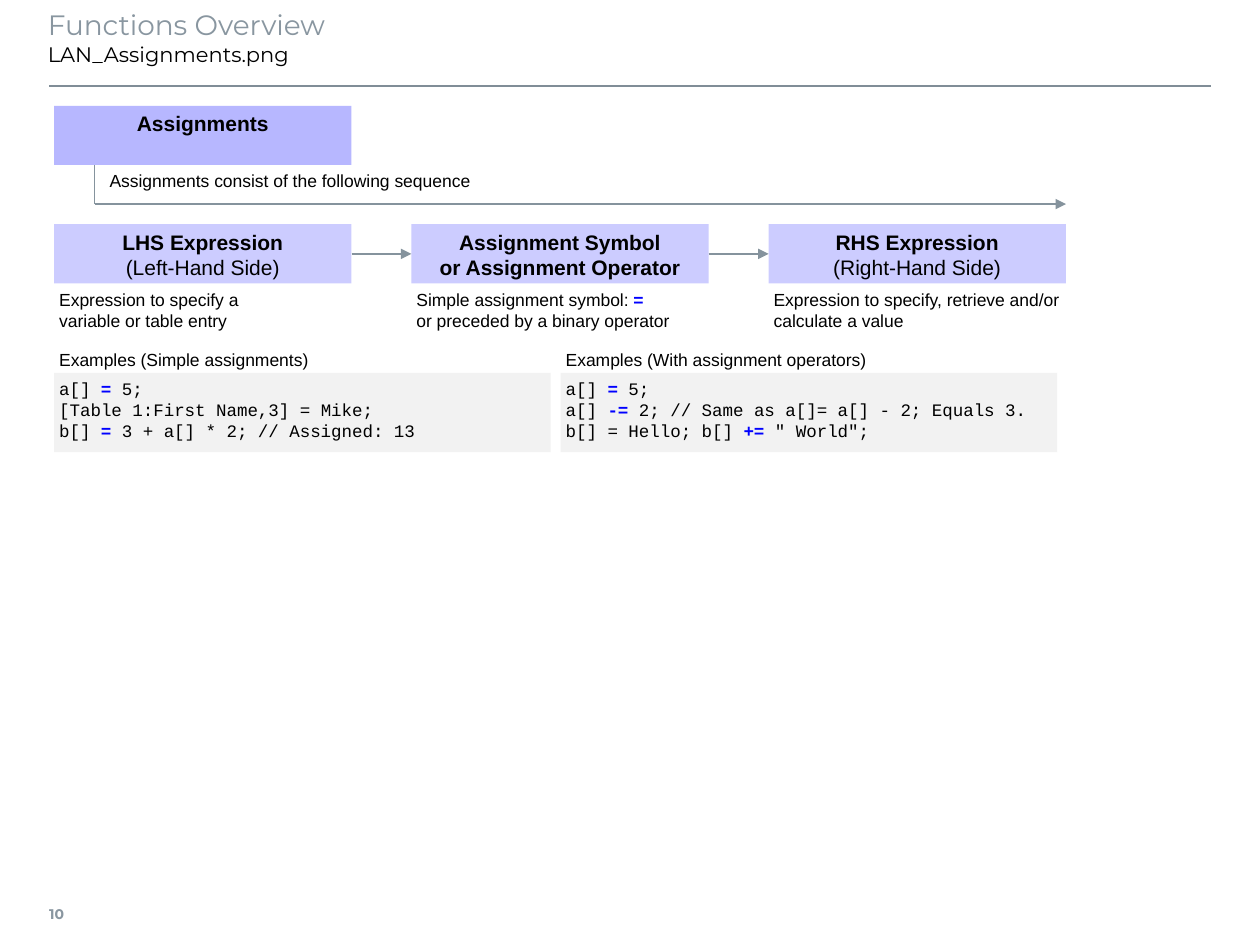
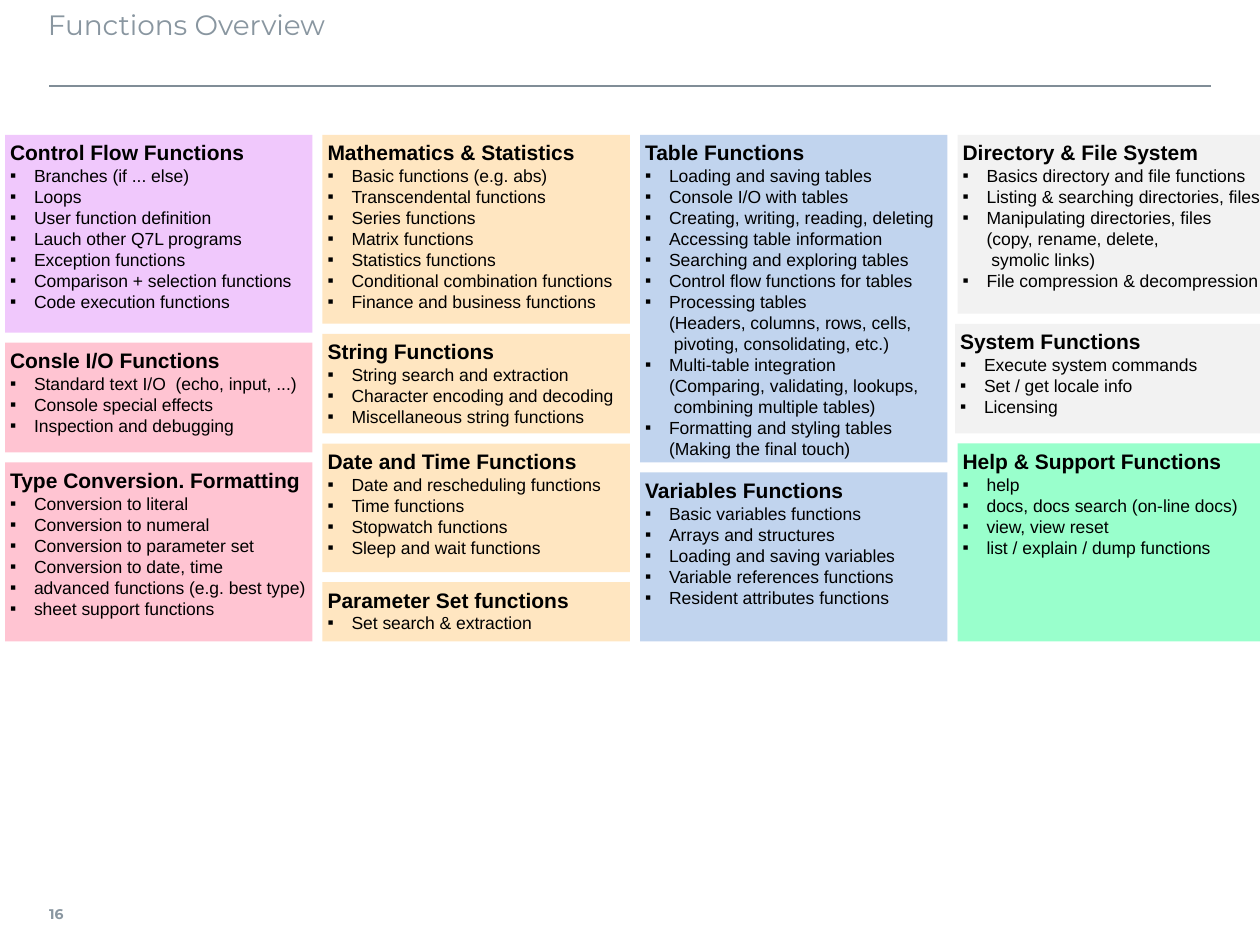
from dataclasses import dataclass

from pptx import Presentation
from pptx.dml.color import RGBColor
from pptx.enum.shapes import MSO_CONNECTOR, MSO_SHAPE
from pptx.enum.text import MSO_ANCHOR, MSO_AUTO_SIZE, PP_ALIGN
from pptx.oxml.ns import qn
from pptx.util import Inches, Pt
from lxml.etree import SubElement

# Shared colours and fonts
BLACK = RGBColor(0x00, 0x00, 0x00)
TITLE_GREY = RGBColor(0x89, 0x96, 0xA0)
RULE_GREY = RGBColor(0x80, 0x8D, 0x97)
ARROW_GREY = RGBColor(0x85, 0x93, 0x9D)
OPERATOR_BLUE = RGBColor(0x00, 0x00, 0xFF)
VIOLET = RGBColor(0xB7, 0xB7, 0xFF)
LAVENDER = RGBColor(0xCC, 0xCC, 0xFF)
PALE_GREY = RGBColor(0xF2, 0xF2, 0xF2)
LILAC = RGBColor(0xF0, 0xC8, 0xFC)
PINK = RGBColor(0xFF, 0xC4, 0xD2)
ORANGE = RGBColor(0xFF, 0xE6, 0xC1)
BLUE = RGBColor(0xC1, 0xD4, 0xEE)
GREEN = RGBColor(0x99, 0xFF, 0xCC)
BODY_FONT = "Arial"
CODE_FONT = "Courier New"
TITLE_FONT = "Montserrat"

INSET = 0.04
STEP_WIDTH, STEP_HEIGHT, STEP_PITCH = 2.36, 0.47, 2.835
CAPTION_WIDTH, CAPTION_HEIGHT = 3.2, 0.24
PANEL_WIDTH, PANEL_GAP = 2.44, 0.08


@dataclass
class Panel:
    heading: str
    height: float
    fill: RGBColor
    items: list
    shift: float = 0


# Panels of the overview, column by column
PANEL_COLUMNS = [
    [
        Panel("Control Flow Functions", 1.57, LILAC, [
            "Branches (if ... else)", "Loops", "User function definition",
            "Lauch other Q7L programs", "Exception functions",
            "Comparison + selection functions", "Code execution functions"]),
        Panel("Consle I/O Functions", 0.87, PINK, [
            "Standard text I/O  (echo, input, ...)",
            "Console special effects", "Inspection and debugging"]),
        Panel("Type Conversion. Formatting", 1.42, PINK, [
            "Conversion to literal", "Conversion to numeral",
            "Conversion to parameter set", "Conversion to date, time",
            "advanced functions (e.g. best type)", "sheet support functions"]),
    ],
    [
        Panel("Mathematics & Statistics", 1.5, ORANGE, [
            "Basic functions (e.g. abs)", "Transcendental functions",
            "Series functions", "Matrix functions", "Statistics functions",
            "Conditional combination functions",
            "Finance and business functions"]),
        Panel("String Functions", 0.79, ORANGE, [
            "String search and extraction", "Character encoding and decoding",
            "Miscellaneous string functions"]),
        Panel("Date and Time Functions", 1.02, ORANGE, [
            "Date and rescheduling functions", "Time functions",
            "Stopwatch functions", "Sleep and wait functions"]),
        Panel("Parameter Set functions", 0.47, ORANGE,
              ["Set search & extraction"]),
    ],
    [
        Panel("Table Functions", 2.6, BLUE, [
            "Loading and saving tables", "Console I/O with tables",
            "Creating, writing, reading, deleting",
            "Accessing table information", "Searching and exploring tables",
            "Control flow functions for tables",
            "Processing tables\v(Headers, columns, rows, cells,"
            "\v pivoting, consolidating, etc.)",
            "Multi-table integration\v(Comparing, validating, lookups,"
            "\v combining multiple tables)",
            "Formatting and styling tables\v(Making the final touch)"]),
        Panel("Variables Functions", 1.34, BLUE, [
            "Basic variables functions", "Arrays and structures",
            "Loading and saving variables", "Variable references functions",
            "Resident attributes functions"]),
    ],
    [
        Panel("Directory & File System", 1.42, PALE_GREY, [
            "Basics directory and file functions",
            "Listing & searching directories, files",
            "Manipulating directories, files\v(copy, rename, delete,"
            "\v symolic links)",
            "File compression & decompression"]),
        Panel("System Functions", 0.87, PALE_GREY, [
            "Execute system commands", "Set / get locale info", "Licensing"],
            shift=-0.02),
        Panel("Help & Support Functions", 1.57, GREEN, [
            "help", "docs, docs search (on-line docs)", "view, view reset",
            "list / explain / dump functions"]),
    ],
]


def style(font, size, name=BODY_FONT, bold=False, color=BLACK):
    font.size, font.name, font.bold = Pt(size), name, bold
    font.color.rgb = color


def set_insets(frame, left, top, right, bottom):
    frame.margin_left, frame.margin_top = Inches(left), Inches(top)
    frame.margin_right, frame.margin_bottom = Inches(right), Inches(bottom)


def write_lines(shape, lines, size=10, name=BODY_FONT, bold=False,
                align=PP_ALIGN.LEFT):
    """Write one paragraph per line; text between backticks is an operator."""
    frame = shape.text_frame
    frame.word_wrap = False
    frame.vertical_anchor = MSO_ANCHOR.TOP
    set_insets(frame, INSET, INSET, INSET, INSET)
    for index, line in enumerate(lines):
        paragraph = frame.add_paragraph() if index else frame.paragraphs[0]
        paragraph.alignment = align
        if "`" not in line:
            paragraph.text = line
            for run in paragraph.runs:
                style(run.font, size, name, bold)
            continue
        for part_index, part in enumerate(line.split("`")):
            if part:
                run = paragraph.add_run()
                run.text = part
                is_operator = part_index % 2 == 1
                style(run.font, size, name, is_operator,
                      OPERATOR_BLUE if is_operator else BLACK)
    return frame


def add_box(slide, left, top, width, height, fill):
    box = slide.shapes.add_shape(MSO_SHAPE.RECTANGLE, Inches(left),
                                 Inches(top), Inches(width), Inches(height))
    box.shadow.inherit = False
    box.fill.solid()
    box.fill.fore_color.rgb = fill
    box.line.fill.background()
    return box


def add_note(slide, left, top, width, height, lines):
    note = slide.shapes.add_textbox(Inches(left), Inches(top),
                                    Inches(width), Inches(height))
    write_lines(note, lines)


def add_line(slide, start, end, color=ARROW_GREY, width=0.75, arrow=False):
    line = slide.shapes.add_connector(
        MSO_CONNECTOR.STRAIGHT, *map(Inches, start), *map(Inches, end))
    line.line.color.rgb = color
    line.line.width = Pt(width)
    if arrow:
        SubElement(line.line._get_or_add_ln(), qn("a:tailEnd"),
                   type="triangle")
    SubElement(line._element.spPr, qn("a:effectLst"))
    return line


def add_bullet(paragraph):
    properties = paragraph._p.get_or_add_pPr()
    properties.set("marL", str(Inches(0.19)))
    properties.set("indent", str(-Inches(0.19)))
    SubElement(properties, qn("a:buFont"), typeface=BODY_FONT)
    SubElement(properties, qn("a:buChar"), char="▪")


def add_titled_slide(presentation, number, title, subtitle=""):
    """Slide with title, rule below it and page number."""
    slide = presentation.slides.add_slide(presentation.slide_layouts[5])
    heading = slide.shapes.title
    heading.left, heading.top = Inches(0.38), Inches(0.01)
    heading.width, heading.height = Inches(9.21), Inches(0.63)
    frame = heading.text_frame
    frame.text = f"{title}\v{subtitle}" if subtitle else title
    frame.word_wrap = True
    frame.auto_size = MSO_AUTO_SIZE.NONE
    frame.vertical_anchor = MSO_ANCHOR.TOP
    set_insets(frame, 0, 0.05, 0.1, 0.05)
    paragraph = frame.paragraphs[0]
    paragraph.alignment = PP_ALIGN.LEFT
    style(paragraph.runs[0].font, 16, TITLE_FONT, color=TITLE_GREY)
    for run in paragraph.runs[1:]:
        style(run.font, 12, TITLE_FONT)

    add_line(slide, (0.39, 0.68), (9.61, 0.68), RULE_GREY, 1)

    page = slide.shapes.add_textbox(Inches(0.39), Inches(7.06),
                                    Inches(0.35), Inches(0.39))
    frame = page.text_frame
    frame.text = str(number)
    frame.word_wrap = False
    frame.vertical_anchor = MSO_ANCHOR.MIDDLE
    set_insets(frame, 0, 0.05, 0.08, 0.05)
    style(frame.paragraphs[0].runs[0].font, 8, TITLE_FONT, True, TITLE_GREY)
    return slide


def add_step(slide, left, top, fill, lines, plain_last=False):
    step = add_box(slide, left, top, STEP_WIDTH, STEP_HEIGHT, fill)
    frame = write_lines(step, lines, 12, bold=True, align=PP_ALIGN.CENTER)
    if plain_last:
        frame.paragraphs[-1].runs[0].font.bold = False
    return step


def add_sequence(slide, left, top):
    """Heading box, long arrow and the three parts of an assignment."""
    add_step(slide, left, top, VIOLET, ["Assignments"])
    bend_left, bend_top = left + 0.32, top + 0.78
    right = left + 2 * STEP_PITCH + STEP_WIDTH
    add_line(slide, (bend_left, top + STEP_HEIGHT), (bend_left, bend_top))
    add_line(slide, (bend_left, bend_top), (right, bend_top), arrow=True)
    add_note(slide, left + 0.4, top + STEP_HEIGHT, CAPTION_WIDTH,
             CAPTION_HEIGHT, ["Assignments consist of the following sequence"])

    parts = [
        (["LHS Expression", "(Left-Hand Side)"], True,
         ["Expression to specify a\vvariable or table entry"]),
        (["Assignment Symbol", "or Assignment Operator"], False,
         ["Simple assignment symbol: `=`", "or preceded by a binary operator"]),
        (["RHS Expression", "(Right-Hand Side)"], True,
         ["Expression to specify, retrieve and/or", "calculate a value"]),
    ]
    step_top = top + 0.94
    steps = []
    for index, (lines, plain_last, note) in enumerate(parts):
        step_left = left + index * STEP_PITCH
        steps.append(add_step(slide, step_left, step_top, LAVENDER, lines,
                              plain_last))
        add_note(slide, step_left, step_top + STEP_HEIGHT, STEP_WIDTH, 0.39,
                 note)
    for before, after in zip(steps, steps[1:]):
        arrow = add_line(slide, (0, 0), (1, 1), arrow=True)
        arrow.begin_connect(before, 3)
        arrow.end_connect(after, 1)


def add_example(slide, left, top, caption, code):
    add_note(slide, left, top, CAPTION_WIDTH, CAPTION_HEIGHT, [caption])
    box = add_box(slide, left, top + 0.23, 3.94, 0.63, PALE_GREY)
    write_lines(box, code, name=CODE_FONT)


def add_panel(slide, left, top, panel):
    box = add_box(slide, left, top, PANEL_WIDTH, panel.height, panel.fill)
    frame = write_lines(box, [panel.heading, *panel.items])
    heading, *items = frame.paragraphs
    style(heading.runs[0].font, 12, bold=True)
    for item in items:
        add_bullet(item)


def add_panel_grid(slide, left, top):
    for index, column in enumerate(PANEL_COLUMNS):
        panel_left = left + index * (PANEL_WIDTH + PANEL_GAP)
        panel_top = top
        for panel in column:
            add_panel(slide, panel_left + panel.shift, panel_top, panel)
            panel_top += panel.height + PANEL_GAP


def main():
    presentation = Presentation()
    presentation.slide_width, presentation.slide_height = Inches(10), Inches(7.5)

    # Assignments
    slide = add_titled_slide(presentation, 10, "Functions Overview",
                             "LAN_Assignments.png")
    add_sequence(slide, 0.43, 0.84)
    add_example(slide, 0.43, 2.73, "Examples (Simple assignments)", [
        "a[] `=` 5;", "[Table 1:First Name,3] = Mike;",
        "b[] `=` 3 + a[] * 2; // Assigned: 13"])
    add_example(slide, 4.45, 2.73, "Examples (With assignment operators)", [
        "a[] `=` 5;", "a[] `-=` 2; // Same as a[]= a[] - 2; Equals 3.",
        'b[] = Hello; b[] `+=` " World";'])

    # Function groups
    slide = add_titled_slide(presentation, 16, "Functions Overview")
    add_panel_grid(slide, 0.04, 1.07)

    presentation.save("out.pptx")


if __name__ == "__main__":
    main()
